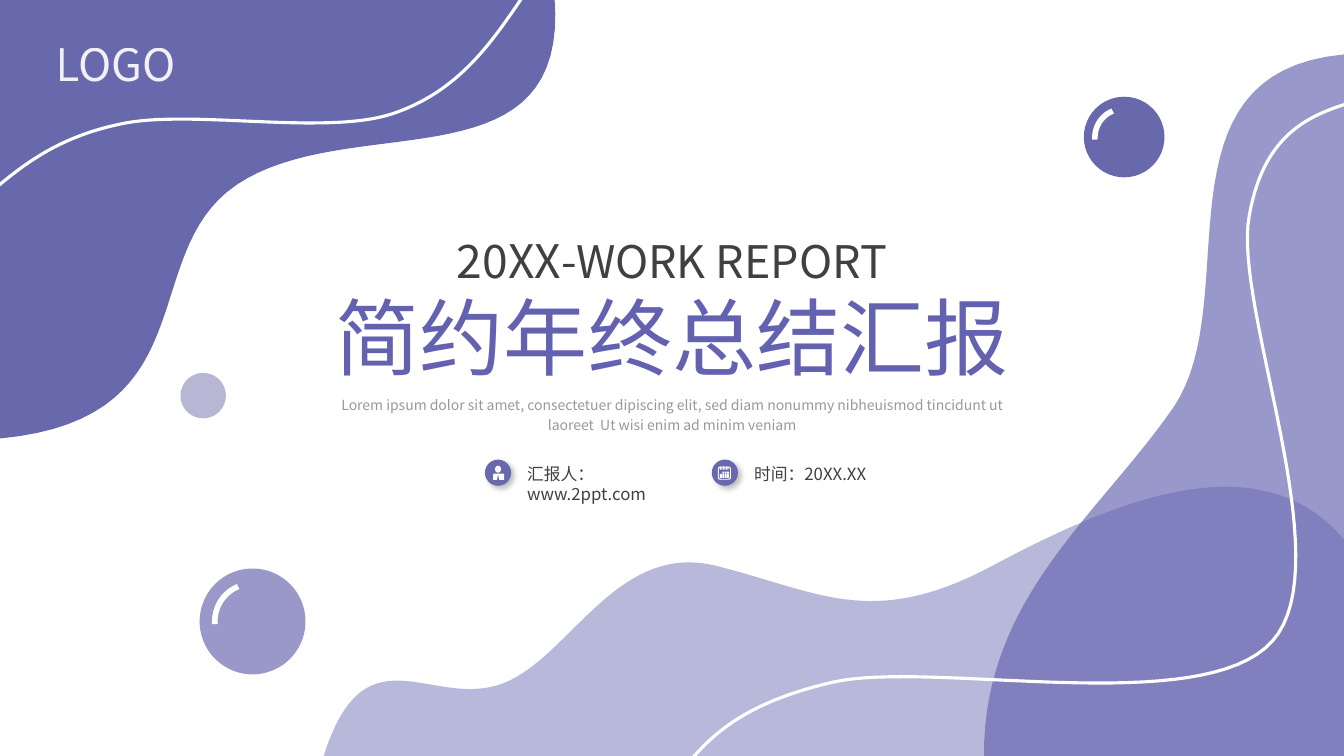
import pptx
import pptx.util
import pptx.dml.color
import pptx.enum.shapes
import pptx.enum.text
import pptx.oxml
import pptx.oxml.ns
from lxml import etree

Inches = pptx.util.Inches
Pt = pptx.util.Pt
RGBColor = pptx.dml.color.RGBColor
MSO_SHAPE = pptx.enum.shapes.MSO_SHAPE
PP_ALIGN = pptx.enum.text.PP_ALIGN
qn = pptx.oxml.ns.qn

VIOLET = RGBColor(0x63, 0x62, 0xB0)
INDIGO = RGBColor(0x68, 0x68, 0xAC)
LAVENDER = RGBColor(0x99, 0x98, 0xC8)
PALE_LILAC = RGBColor(0xB8, 0xB6, 0xD5)
WHITE = RGBColor(0xFF, 0xFF, 0xFF)
CHARCOAL = RGBColor(0x40, 0x40, 0x40)
GREY = RGBColor(0x80, 0x80, 0x80)
FONT = "Noto Sans CJK SC"
CURVE_STEPS = 32

# Each outline is a start point, then line ends (x, y) or cubic curves (x1, y1, x2, y2, x, y).
BOTTOM_WAVE = [
    (4.93, 6.8), (5.63, 6.59, 6.08, 5.37, 7.09, 5.61), (8.1, 5.86, 8.63, 6.25, 9.81, 5.63),
    (10.99, 5, 12.47, 4.34, 13.33, 5.35), (13.33, 7.5), (3.21, 7.5),
    (3.61, 6.24, 4.24, 7, 4.93, 6.8)]
TOP_LEFT_WAVE = [
    (0, 0), (5.5, -0.03), (5.65, 1.83, 3.61, 1.12, 2.45, 1.77),
    (1.29, 2.41, 2.15, 4.15, 0, 4.35)]
RIGHT_WAVE = [
    (11.64, 4.04), (12.36, 2.98, 11.39, 0.72, 13.33, 0.54), (13.33, 7.5), (9.76, 7.5),
    (9.75, 5.93, 10.91, 5.1, 11.64, 4.04)]
RIGHT_RIBBON = [
    (13.61, 0.96), (13.08, 1.1, 12.55, 1.24, 12.39, 2.14),
    (12.22, 3.04, 13.31, 5.59, 12.62, 6.36), (11.93, 7.14, 9.24, 6.54, 8.25, 6.77),
    (7.27, 7, 6.98, 7.37, 6.69, 7.74)]
LEFT_RIBBON = [
    (-0.2, 2), (0.16, 1.69, 0.52, 1.37, 1.2, 1.23), (1.88, 1.08, 3.22, 1.35, 3.89, 1.13),
    (4.55, 0.91, 4.88, 0.42, 5.21, -0.07)]


def set_alpha(element, percent):
    """Set the opacity of the first colour inside the element."""
    color = element.find(".//" + qn("a:srgbClr"))
    etree.SubElement(color, qn("a:alpha")).set("val", str(percent * 1000))


def flatten(outline):
    """Turn lines and cubic curves into a list of points."""
    points = [outline[0]]
    for segment in outline[1:]:
        if len(segment) == 2:
            points.append(segment)
            continue
        x0, y0 = points[-1]
        x1, y1, x2, y2, x3, y3 = segment
        for step in range(1, CURVE_STEPS + 1):
            t = step / CURVE_STEPS
            a, b, c, d = (1 - t) ** 3, 3 * t * (1 - t) ** 2, 3 * t * t * (1 - t), t ** 3
            points.append((a * x0 + b * x1 + c * x2 + d * x3,
                           a * y0 + b * y1 + c * y2 + d * y3))
    return points


def draw_outline(shapes, outline, close):
    points = [(Inches(x), Inches(y)) for x, y in flatten(outline)]
    builder = shapes.build_freeform(*points[0])
    builder.add_line_segments(points[1:], close=close)
    curve = builder.convert_to_shape()
    curve.shadow.inherit = False
    return curve


def add_wave(shapes, outline, color, opacity=None):
    wave = draw_outline(shapes, outline, True)
    wave.fill.solid()
    wave.fill.fore_color.rgb = color
    wave.line.fill.background()
    if opacity:
        set_alpha(wave.element.spPr, opacity)


def stroke_white(shape, width):
    shape.fill.background()
    shape.line.color.rgb = WHITE
    shape.line.width = Pt(width)


def add_ribbon(shapes, outline):
    stroke_white(draw_outline(shapes, outline, False), 2.25)


def add_solid(shapes, kind, left, top, width, height, color):
    solid = shapes.add_shape(kind, Inches(left), Inches(top), Inches(width), Inches(height))
    solid.shadow.inherit = False
    solid.fill.solid()
    solid.fill.fore_color.rgb = color
    solid.line.fill.background()
    return solid


def add_bubble(shapes, left, top, size, shine_left, shine_top, shine_size, color):
    bubble = shapes.add_group_shape().shapes
    add_solid(bubble, MSO_SHAPE.OVAL, left, top, size, size, color)
    shine = bubble.add_shape(MSO_SHAPE.ARC, Inches(shine_left), Inches(shine_top),
                             Inches(shine_size), Inches(shine_size))
    shine.adjustments[0] = 105.538
    shine.adjustments[1] = 148.533
    shine.shadow.inherit = False
    stroke_white(shine, 4)


def add_text(shapes, left, top, width, height, pieces, color,
             align=PP_ALIGN.CENTER, opacity=None):
    """Add one paragraph made of (text, size) pieces and return its text frame."""
    box = shapes.add_textbox(Inches(left), Inches(top), Inches(width), Inches(height))
    frame = box.text_frame
    frame.word_wrap = True
    frame.auto_size = pptx.enum.text.MSO_AUTO_SIZE.SHAPE_TO_FIT_TEXT
    paragraph = frame.paragraphs[0]
    paragraph.alignment = align
    for text, size in pieces:
        run = paragraph.add_run()
        run.text = text
        run.font.size = Pt(size)
        run.font.color.rgb = color
        run.font.name = FONT
        etree.SubElement(run.font._element, qn("a:ea")).set("typeface", FONT)
        if opacity:
            set_alpha(run.font._element, opacity)
    return frame


def add_badge(shapes, left, label, label_width):
    """Add a shadowed disc with a label and return the group's shapes for its icon."""
    badge = shapes.add_group_shape().shapes
    disc = add_solid(badge, MSO_SHAPE.OVAL, left, 4.56, 0.26, 0.26, INDIGO)
    effects = disc.element.spPr.find(qn("a:effectLst"))
    effects.append(pptx.oxml.parse_xml(
        f'<a:outerShdw {pptx.oxml.ns.nsdecls("a")} blurRad="50800" dist="38100" '
        'dir="2700000" algn="tl" rotWithShape="0"><a:srgbClr val="000000">'
        '<a:alpha val="25000"/></a:srgbClr></a:outerShdw>'))
    add_text(badge, left + 0.32, 4.55, label_width, 0.3, [(label, 12)], CHARCOAL,
             PP_ALIGN.LEFT)
    return badge


def add_calendar_icon(badge):
    add_solid(badge, MSO_SHAPE.ROUNDED_RECTANGLE, 7.12, 4.63, 0.13, 0.13, WHITE)
    add_solid(badge, MSO_SHAPE.ROUNDED_RECTANGLE, 7.13, 4.64, 0.11, 0.11, INDIGO)
    for ring in range(6):
        add_solid(badge, MSO_SHAPE.RECTANGLE, 7.14 + ring * 0.015, 4.63, 0.01, 0.03, WHITE)
    for day in range(1, 12):
        row, column = divmod(day, 4)
        add_solid(badge, MSO_SHAPE.RECTANGLE, 7.14 + column * 0.024, 4.68 + row * 0.022,
                  0.02, 0.02, WHITE)


def add_person_icon(badge):
    add_solid(badge, MSO_SHAPE.OVAL, 4.91, 4.62, 0.06, 0.07, WHITE)
    add_solid(badge, MSO_SHAPE.ROUND_2_SAME_RECTANGLE, 4.89, 4.7, 0.11, 0.06, WHITE)
    add_solid(badge, MSO_SHAPE.ISOSCELES_TRIANGLE, 4.93, 4.71, 0.02, 0.05, INDIGO)


def main():
    deck = pptx.Presentation()
    deck.slide_width, deck.slide_height = Inches(13.33), Inches(7.5)
    shapes = deck.slides.add_slide(deck.slide_layouts[6]).shapes

    add_wave(shapes, BOTTOM_WAVE, VIOLET, 45)
    add_wave(shapes, TOP_LEFT_WAVE, INDIGO)
    add_wave(shapes, RIGHT_WAVE, VIOLET, 65)
    add_ribbon(shapes, RIGHT_RIBBON)
    add_ribbon(shapes, LEFT_RIBBON)
    add_bubble(shapes, 1.98, 5.64, 1.05, 2.13, 5.79, 0.75, LAVENDER)
    add_bubble(shapes, 10.75, 0.96, 0.8, 10.86, 1.08, 0.57, INDIGO)
    add_solid(shapes, MSO_SHAPE.OVAL, 1.79, 3.7, 0.45, 0.45, PALE_LILAC)

    summary = add_text(
        shapes, 3.21, 3.85, 6.91, 0.5,
        [("Lorem ipsum dolor sit amet, consectetuer dipiscing elit, sed diam nonummy "
          "nibheuismod tincidunt ut laoreet  Ut wisi enim ad minim veniam", 10)],
        GREY, opacity=80)
    summary.paragraphs[0].line_spacing = 1.2
    summary.margin_left = summary.margin_right = Inches(0.05)
    summary.margin_top = summary.margin_bottom = Inches(0.05)
    add_text(shapes, 1.86, 2.78, 9.61, 1.11, [("简约年终总结汇报", 60)], VIOLET)
    add_text(shapes, 3.64, 2.26, 6.05, 0.66, [("20XX", 33), ("-WORK REPORT", 32)], CHARCOAL)
    add_text(shapes, 0.33, 0.32, 1.64, 0.64, [("LOGO", 32)], WHITE, opacity=90)

    add_calendar_icon(add_badge(shapes, 7.06, "时间：20XX.XX", 1.88))
    add_person_icon(add_badge(shapes, 4.81, "汇报人：www.2ppt.com", 1.93))
    deck.save("out.pptx")


if __name__ == "__main__":
    main()
